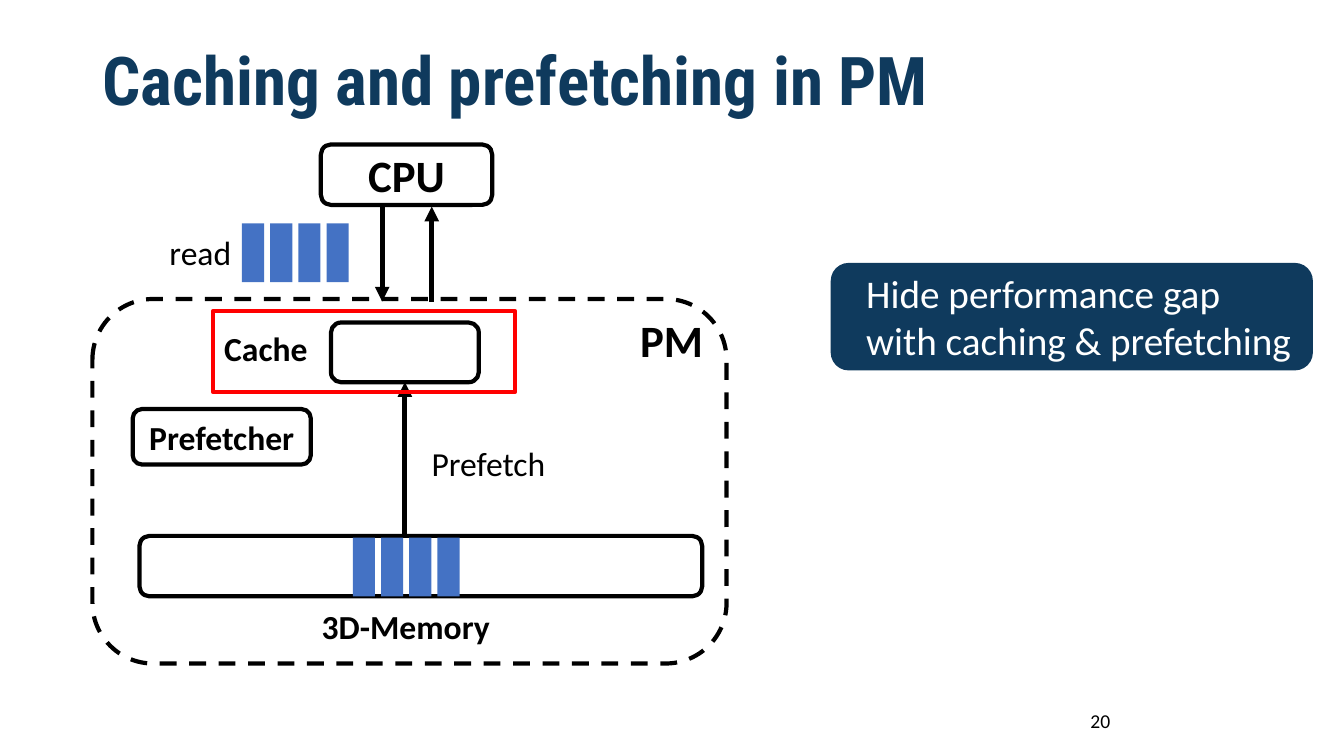
"""Build the slide on caching and prefetching in persistent memory."""
from lxml.etree import SubElement
from pptx import Presentation
from pptx.dml.color import RGBColor
from pptx.enum.dml import MSO_LINE
from pptx.enum.shapes import MSO_CONNECTOR, MSO_SHAPE as Shape
from pptx.enum.text import MSO_ANCHOR as Anchor, PP_ALIGN as Align
from pptx.oxml.ns import qn
from pptx.util import Emu, Inches, Pt

COLUMNS, ROWS = 160, 90
CELL = 76200
COLORS = {"ink": "000000", "paper": "FFFFFF", "navy": "0F3A5D",
          "block": "4472C4", "focus": "FF0000"}


def cells(*counts):
    """Turn counts of grid cells into lengths."""
    return [Emu(round(count * CELL)) for count in counts]


def color(name):
    """Look up a named colour."""
    return RGBColor.from_string(COLORS[name])


def write(holder, words, size, bold=False, ink="ink", align=Align.CENTER,
          anchor=Anchor.MIDDLE, font="Calibri", indent=0.1):
    """Put one styled paragraph into a shape or text box."""
    frame = holder.text_frame
    frame.word_wrap = True
    frame.vertical_anchor = anchor
    frame.margin_left = Inches(indent)
    paragraph = frame.paragraphs[0]
    paragraph.text = words
    paragraph.alignment = align
    paragraph.font.name = font
    paragraph.font.size = Pt(size)
    paragraph.font.bold = bold
    paragraph.font.color.rgb = color(ink)
    return paragraph


def label(slide, area, words, size, **style):
    """Add free-standing text."""
    return write(slide.shapes.add_textbox(*cells(*area)), words, size, **style)


def box(slide, area, fill="paper", line="ink", kind=Shape.ROUNDED_RECTANGLE):
    """Add a box with an optional fill and outline."""
    shape = slide.shapes.add_shape(kind, *cells(*area))
    shape.shadow.inherit = False
    if fill:
        shape.fill.solid()
        shape.fill.fore_color.rgb = color(fill)
    else:
        shape.fill.background()
    if line:
        shape.line.color.rgb = color(line)
        shape.line.width = Pt(3)
    else:
        shape.line.fill.background()
    return shape


def data_blocks(slide, left, top):
    """Add a row of four data blocks."""
    for index in range(4):
        box(slide, (left + 3.36 * index, top, 2.64, 7),
            "block", None, Shape.RECTANGLE)


def arrow(slide, x, start, end):
    """Add a vertical arrow between two rows."""
    link = slide.shapes.add_connector(
        MSO_CONNECTOR.STRAIGHT, *cells(x, start, x, end))
    link.line.color.rgb = color("ink")
    link.line.width = Pt(3.5)
    SubElement(link.line._get_or_add_ln(), qn("a:tailEnd"), type="triangle")
    SubElement(link._element.spPr, qn("a:effectLst"))
    return link


def draw_memory(slide):
    """Draw the persistent memory with its cache, prefetcher and media."""
    memory = box(slide, (11, 35.6, 75.5, 43.4))
    memory.line.dash_style = MSO_LINE.DASH
    label(slide, (73.3, 36.6, 13.3, 7.7), "PM", 32, bold=True, anchor=Anchor.TOP)

    box(slide, (16.6, 63.8, 67, 7.2))
    data_blocks(slide, 42, 64)
    label(slide, (34.8, 71.5, 27, 6), "3D-Memory", 24, bold=True, anchor=Anchor.TOP)

    prefetcher = box(slide, (15.8, 48.7, 21.2, 6.6))
    write(prefetcher, "Prefetcher", 24, bold=True)

    cache = box(slide, (39.4, 38.4, 17.6, 7.1), None)
    prefetch = arrow(slide, 48.2, 63.6, 45.5)
    prefetch.end_connect(cache, 2)
    label(slide, (50.2, 52.1, 17, 6), "Prefetch", 24,
          align=Align.LEFT, anchor=Anchor.TOP)
    label(slide, (25, 38.4, 13.3, 6), "Cache", 24, bold=True, anchor=Anchor.TOP)
    box(slide, (25.4, 37, 35.9, 9.7), None, "focus", Shape.RECTANGLE)


def draw_processor(slide):
    """Draw the processor and its read traffic."""
    write(box(slide, (38.2, 17.2, 20.4, 7.2)), "CPU", 32, bold=True)
    label(slide, (19, 27, 10.6, 6), "read", 24,
          align=Align.LEFT, anchor=Anchor.TOP)
    data_blocks(slide, 28.8, 26.6)
    arrow(slide, 45.5, 24.6, 35.9)
    arrow(slide, 51.4, 35.9, 24.6)


def main():
    """Build and save the slide."""
    deck = Presentation()
    deck.slide_width, deck.slide_height = cells(COLUMNS, ROWS)
    slide = deck.slides.add_slide(deck.slide_layouts[6])

    title = label(slide, (11, 4.8, 139.6, 10.4), "Caching and prefetching in PM",
                  48, bold=True, ink="navy", align=Align.LEFT,
                  font="Roboto Condensed")
    title.line_spacing = 0.9
    draw_memory(slide)
    draw_processor(slide)
    takeaway = box(slide, (98.9, 31.3, 57.4, 12.8), "navy", None)
    write(takeaway, "Hide performance gap\vwith caching & prefetching", 28,
          ink="paper", align=Align.LEFT, indent=0.3)
    label(slide, (113, 83.4, 36, 4.8), "20", 14)
    deck.save("out.pptx")


if __name__ == "__main__":
    main()
